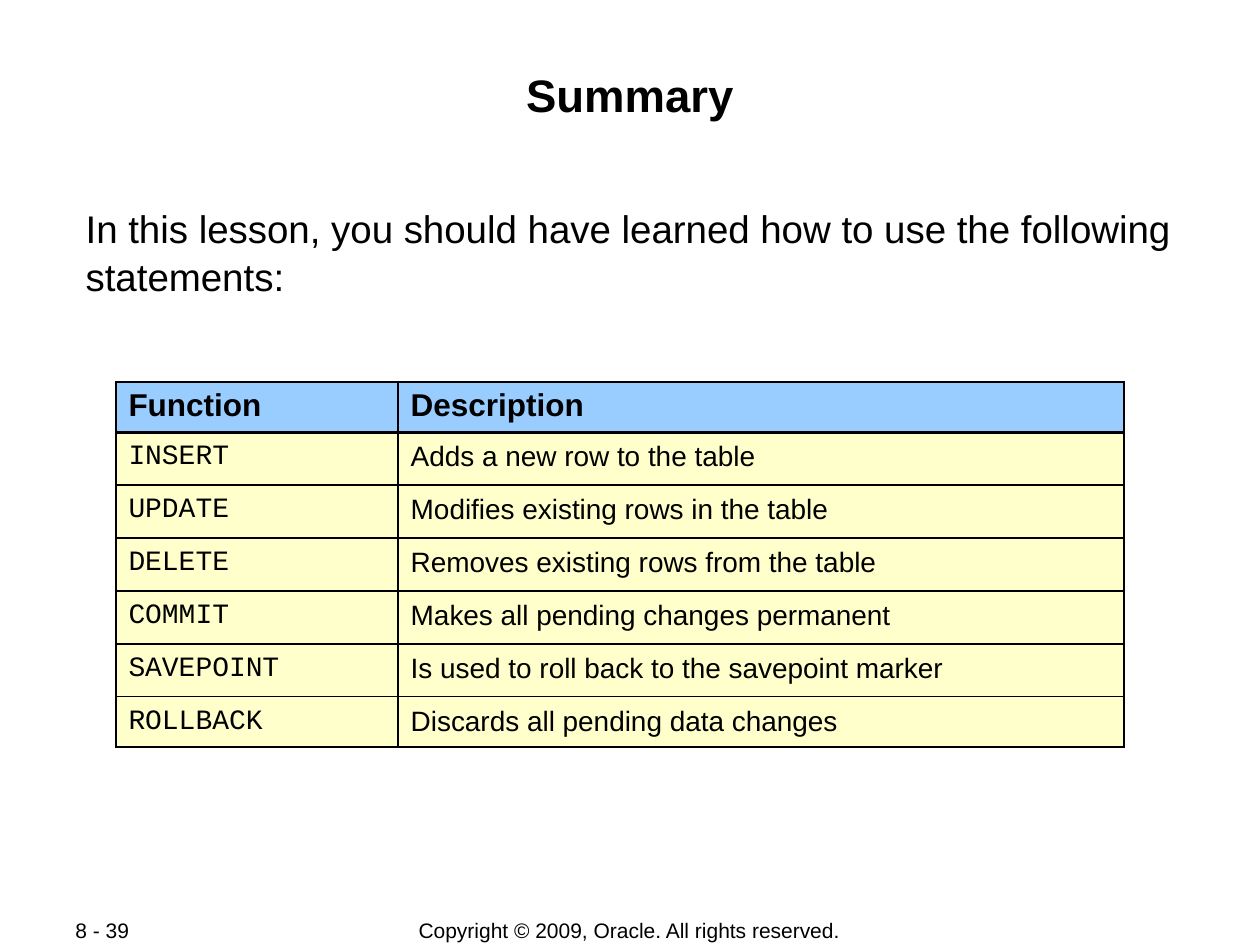
import pptx
import pptx.dml.color
import pptx.enum.text
import pptx.oxml
import pptx.oxml.ns
import pptx.util

Inches = pptx.util.Inches
Pt = pptx.util.Pt
ALIGN = pptx.enum.text.PP_ALIGN
ANCHOR = pptx.enum.text.MSO_ANCHOR

BLACK = pptx.dml.color.RGBColor(0x00, 0x00, 0x00)
HEADER_BLUE = pptx.dml.color.RGBColor(0x99, 0xCC, 0xFF)
ROW_YELLOW = pptx.dml.color.RGBColor(0xFF, 0xFF, 0xCC)

STATEMENTS = [
    ("INSERT", "Adds a new row to the table"),
    ("UPDATE", "Modifies existing rows in the table"),
    ("DELETE", "Removes existing rows from the table"),
    ("COMMIT", "Makes all pending changes permanent"),
    ("SAVEPOINT", "Is used to roll back to the savepoint marker"),
    ("ROLLBACK", "Discards all pending data changes"),
]


class SlideBuilder:
    """Holds the text style and the current slide."""

    font = "Arial"
    code_font = "Courier New"
    thin, thick = 1.08, 2.21

    def __init__(self, page):
        self.page = page

    def style(self, para, size, font=None, bold=False, spacing=None):
        para.font.name = font or self.font
        para.font.size = Pt(size)
        para.font.bold = bold
        para.font.color.rgb = BLACK
        if spacing:
            para.line_spacing = spacing

    def text(self, words, left, top, width, height, size, align=ALIGN.LEFT,
             anchor=ANCHOR.TOP, inset=(0.01, 0.01), bold=False, spacing=None):
        box = self.page.shapes.add_textbox(
            Inches(left), Inches(top), Inches(width), Inches(height))
        frame = box.text_frame
        frame.word_wrap = True
        frame.vertical_anchor = anchor
        frame.margin_left = frame.margin_right = Inches(inset[0])
        frame.margin_top = frame.margin_bottom = Inches(inset[1])
        para = frame.paragraphs[0]
        para.text = words
        para.alignment = align
        self.style(para, size, bold=bold, spacing=spacing)

    def borders(self, cell, top, bottom):
        properties = cell._tc.get_or_add_tcPr()
        sides = {"L": self.thin, "R": self.thin, "T": top, "B": bottom}
        for side, width in sides.items():
            properties.append(pptx.oxml.parse_xml(
                f'<a:ln{side} {pptx.oxml.ns.nsdecls("a")} w="{Pt(width)}">'
                f'<a:solidFill><a:srgbClr val="{BLACK}"/></a:solidFill>'
                f'</a:ln{side}>'))

    def table(self, header, rows, left, top, widths, heights):
        table = self.page.shapes.add_table(
            len(rows) + 1, len(header), Inches(left), Inches(top),
            Inches(sum(widths)), Inches(sum(heights))).table
        table.first_row = table.horz_banding = False
        for column, width in zip(table.columns, widths):
            column.width = Inches(width)
        for r, (words, height) in enumerate(zip([header, *rows], heights)):
            table.rows[r].height = Inches(height)
            for c, word in enumerate(words):
                cell = table.cell(r, c)
                self.borders(cell, self.thick if r == 1 else self.thin,
                             self.thick if r == 0 else self.thin)
                cell.fill.solid()
                cell.fill.fore_color.rgb = ROW_YELLOW if r else HEADER_BLUE
                para = cell.text_frame.paragraphs[0]
                para.text = word
                if r == 0:
                    self.style(para, 18, bold=True)
                else:
                    self.style(para, 16, None if c else self.code_font,
                               spacing=1.1)


def main():
    deck = pptx.Presentation()
    deck.slide_width, deck.slide_height = Inches(10), Inches(7.5)
    builder = SlideBuilder(deck.slides.add_slide(deck.slide_layouts[6]))

    # Footer
    footer = dict(size=12, anchor=ANCHOR.MIDDLE, inset=(0.1, 0))
    builder.text("Copyright © 2009, Oracle. All rights reserved.",
                 2.75, 7.28, 4.49, 0.21, align=ALIGN.CENTER, **footer)
    builder.text("8 - 39", 0.5, 7.28, 1.06, 0.21, **footer)

    # Title and introduction
    builder.text("Summary", 0.67, 0.52, 8.66, 0.92, 26,
                 align=ALIGN.CENTER, bold=True)
    builder.text("In this lesson, you should have learned how to use the "
                 "following statements:", 0.67, 1.6, 8.66, 0.76, 22,
                 spacing=1.04)

    # Statement table
    builder.table(("Function", "Description"), STATEMENTS, 0.92, 3.03,
                  [2.24, 5.76], [0.4] + [0.42] * 5 + [0.4])

    deck.save("out.pptx")


if __name__ == "__main__":
    main()
